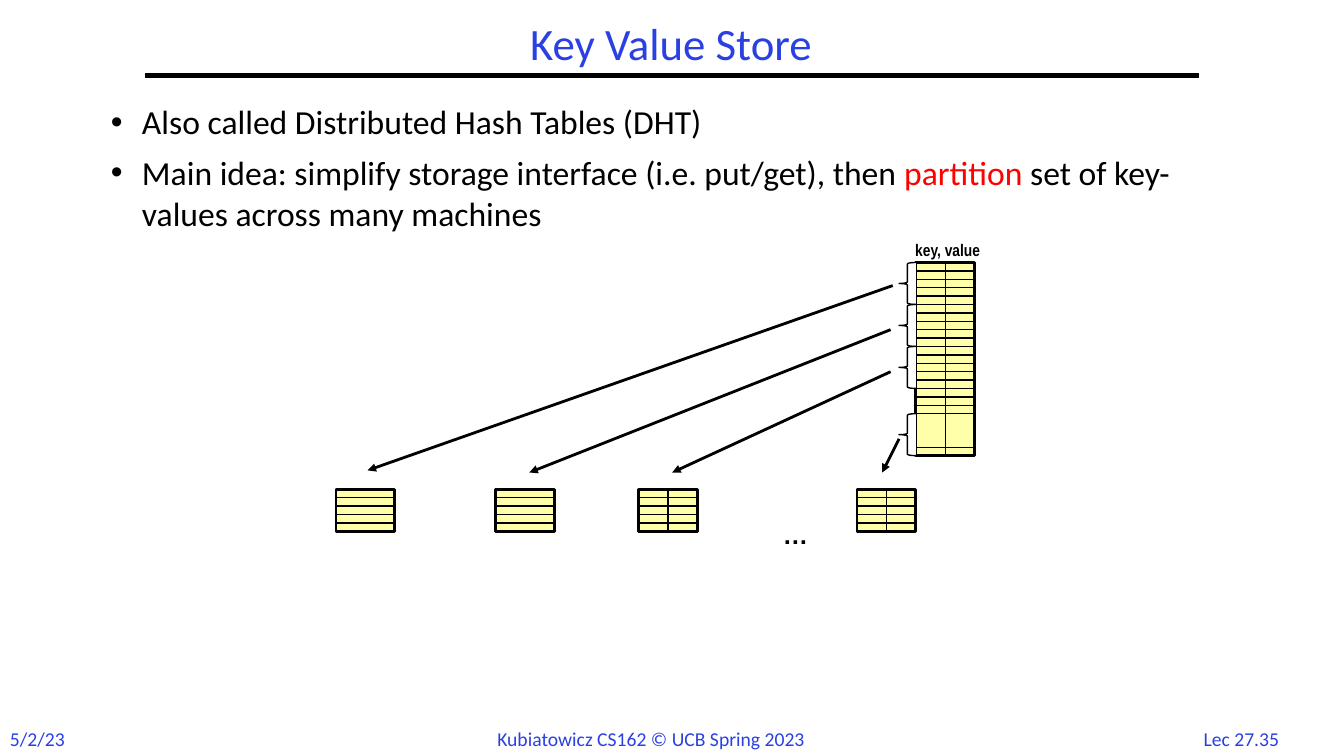
from dataclasses import dataclass

from lxml import etree
from pptx import Presentation
from pptx import util as u
from pptx.dml.color import RGBColor
from pptx.enum import shapes, text
from pptx.oxml.ns import qn


@dataclass(frozen=True)
class Theme:
    blue: str = "2A40E2"
    black: str = "000000"
    red: str = "FF0000"
    yellow: str = "FFFFAA"
    white: str = "FFFFFF"
    font: str = "Calibri"
    label_font: str = "Arial Narrow"
    ellipsis_font: str = "Arial"
    title_size: int = 32
    body_size: int = 24
    ellipsis_size: int = 18
    footer_size: int = 14
    label_size: int = 12


THEME = Theme()
CELLS_PER_INCH = 12
TABLE_WIDTH = 7
PARTITION_HEIGHT = 5
TABLE_LEFT, TABLE_TOP, TABLE_HEIGHT = 109, 31.25, 23
MACHINE_TOP = 58.25


def cells(count):
    return u.Inches(count / CELLS_PER_INCH)


def box(left, top, width, height):
    return [cells(length) for length in (left, top, width, height)]


def color(value):
    return RGBColor.from_string(value)


def add_runs(paragraph, parts, size, font=THEME.font, bold=False):
    for content, shade in parts:
        run = paragraph.add_run()
        run.text = content
        run.font.name = font
        run.font.size = u.Pt(size)
        run.font.bold = bold
        run.font.color.rgb = color(shade)


def add_text(slide, content, area, *, size, shade=THEME.black, font=THEME.font,
             bold=False, align=text.PP_ALIGN.LEFT, wrap=False, middle=False,
             line_spacing=1.0):
    frame = slide.shapes.add_textbox(*box(*area)).text_frame
    frame.word_wrap = wrap
    if not wrap:
        frame.auto_size = text.MSO_AUTO_SIZE.SHAPE_TO_FIT_TEXT
    if middle:
        frame.vertical_anchor = text.MSO_ANCHOR.MIDDLE
    paragraph = frame.paragraphs[0]
    paragraph.alignment = align
    paragraph.line_spacing = line_spacing
    add_runs(paragraph, [(content, shade)], size, font, bold)


def add_bullets(slide, bullets, area):
    frame = slide.shapes.add_textbox(*box(*area)).text_frame
    frame.word_wrap = True
    for index, (parts, line_spacing) in enumerate(bullets):
        paragraph = frame.add_paragraph() if index else frame.paragraphs[0]
        properties = paragraph._p.get_or_add_pPr()
        indent = u.Inches(0.31)
        properties.set("marL", str(indent))
        properties.set("indent", str(-indent))
        etree.SubElement(properties, qn("a:buFont"), typeface="Arial")
        etree.SubElement(properties, qn("a:buChar"), char="•")
        paragraph.line_spacing = line_spacing
        if index:
            paragraph.space_before = u.Pt(7.2)
        add_runs(paragraph, parts, THEME.body_size)


def add_line(parent, start, end, weight=1, arrow=False):
    line = parent.shapes.add_connector(
        shapes.MSO_CONNECTOR.STRAIGHT, *map(cells, (*start, *end)))
    line.line.color.rgb = color(THEME.black)
    line.line.width = u.Pt(weight)
    if arrow:
        etree.SubElement(line.line._get_or_add_ln(), qn("a:tailEnd"), type="triangle")
    etree.SubElement(line._element.spPr, qn("a:effectLst"))


def add_outlined(parent, kind, area, fill, weight):
    shape = parent.shapes.add_shape(kind, *box(*area))
    shape.shadow.inherit = False
    shape.fill.solid()
    shape.fill.fore_color.rgb = color(fill)
    shape.line.color.rgb = color(THEME.black)
    shape.line.width = u.Pt(weight)


def add_store(slide, left, top, height, rows, divided=True):
    group = slide.shapes.add_group_shape()
    add_outlined(group, shapes.MSO_SHAPE.RECTANGLE,
                 (left, top, TABLE_WIDTH, height), THEME.yellow, 2)
    if divided:
        middle = left + TABLE_WIDTH / 2
        add_line(group, (middle, top), (middle, top + height))
    for row in rows:
        add_line(group, (left, top + row), (left + TABLE_WIDTH, top + row))


def add_header(slide):
    add_text(slide, "Key Value Store", (17.25, 2, 125.25, 7), size=THEME.title_size,
             shade=THEME.blue, align=text.PP_ALIGN.CENTER, wrap=True, middle=True,
             line_spacing=0.9)
    add_line(slide, (17.25, 9), (142.75, 9), weight=3)


def add_footer(slide):
    for content, left, width, align in (
        ("5/2/23", 0, 9, text.PP_ALIGN.LEFT),
        ("Kubiatowicz CS162 © UCB Spring 2023", 58, 44, text.PP_ALIGN.LEFT),
        ("Lec 27.35", 141.25, 13, text.PP_ALIGN.CENTER),
    ):
        add_text(slide, content, (left, 86, width, 4), size=THEME.footer_size,
                 shade=THEME.blue, align=align)


def add_diagram(slide):
    add_store(slide, TABLE_LEFT, TABLE_TOP, TABLE_HEIGHT, [*range(1, 19), 22])
    for left, divided in ((40, False), (59, False), (76, True), (102, True)):
        add_store(slide, left, MACHINE_TOP, PARTITION_HEIGHT,
                  range(1, PARTITION_HEIGHT), divided)
    for row in (0, 5, 10, 18):
        add_outlined(slide, shapes.MSO_SHAPE.LEFT_BRACE,
                     (TABLE_LEFT - 2, TABLE_TOP + row, 2, PARTITION_HEIGHT),
                     THEME.white, 1)
    for start, end in (
        ((106.25, 34), (43.75, 56)),
        ((106, 39.25), (63, 56.25)),
        ((106, 44.25), (80, 56.25)),
        ((107, 52.25), (105, 56.25)),
    ):
        add_line(slide, start, end, weight=2, arrow=True)
    add_text(slide, "key, value", (107.75, 28, 10.25, 3.5), size=THEME.label_size,
             font=THEME.label_font, bold=True)
    add_text(slide, "…", (92, 61.25, 5.5, 4.75), size=THEME.ellipsis_size,
             font=THEME.ellipsis_font, bold=True)


def main():
    presentation = Presentation()
    presentation.slide_width = u.Inches(13.33)
    presentation.slide_height = u.Inches(7.5)
    slide = presentation.slides.add_slide(presentation.slide_layouts[6])
    add_footer(slide)
    add_header(slide)
    add_bullets(slide, [
        ([("Also called Distributed Hash Tables (DHT)", THEME.black)], 0.9),
        ([("Main idea: simplify storage interface (i.e. put/get), then ", THEME.black),
          ("partition", THEME.red),
          (" set of key-values across many machines", THEME.black)], 1.0),
    ], (12, 12, 136, 20))
    add_diagram(slide)
    presentation.save("out.pptx")


if __name__ == "__main__":
    main()
